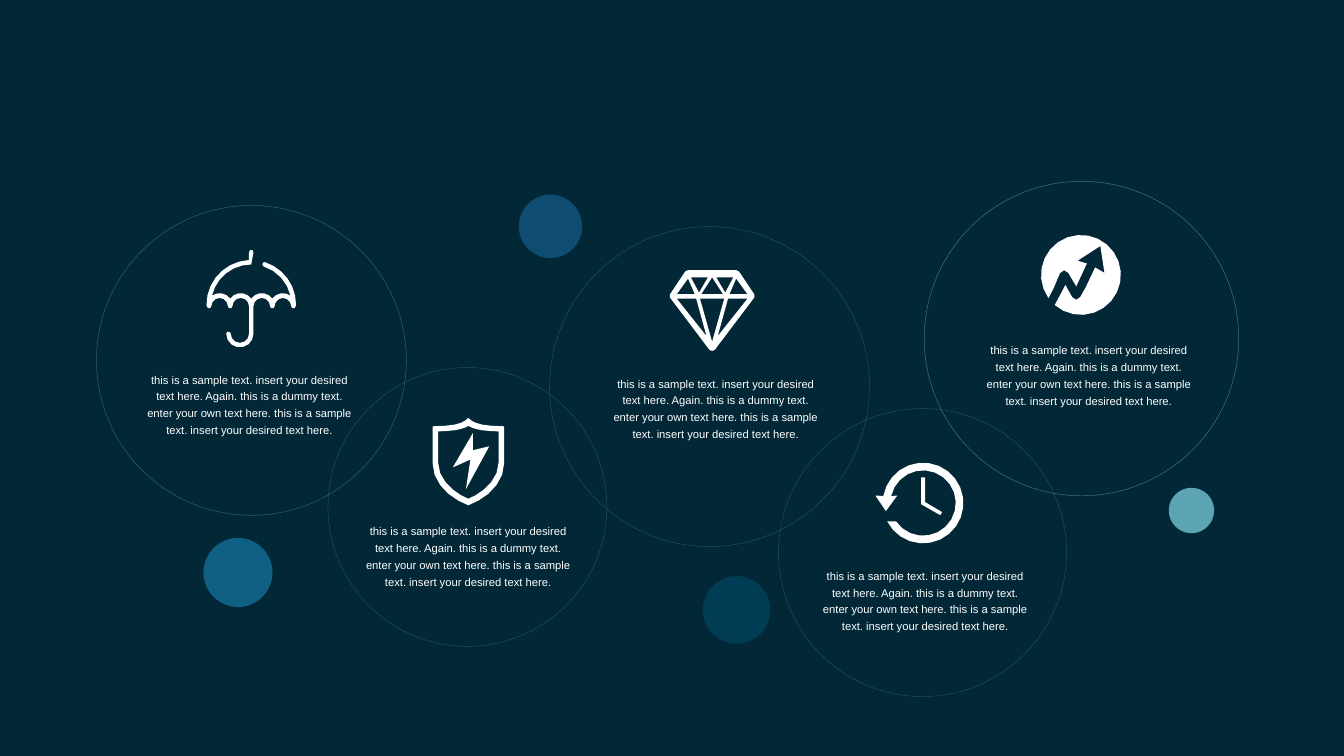
from dataclasses import dataclass
from math import ceil, cos, radians, sin, sqrt

from lxml import etree
from pptx import Presentation
from pptx.dml.color import RGBColor
from pptx.enum.shapes import MSO_SHAPE
from pptx.enum.text import MSO_AUTO_SIZE, PP_ALIGN
from pptx.oxml.ns import qn
from pptx.util import Pt

OVAL = MSO_SHAPE.OVAL
CENTER = PP_ALIGN.CENTER
GROW = MSO_AUTO_SIZE.SHAPE_TO_FIT_TEXT

BACKGROUND, WHITE, RING = "022838", "FFFFFF", "A4E2FE"
BLANK_LAYOUT = 6
TEXT_WIDTH, TEXT_HEIGHT = 127.4, 43.6
SAMPLE = (
    "this is a sample text. insert your desired text here. "
    "Again. this is a dummy text. enter your own text here. "
    "this is a sample text. insert your desired text here."
)

Point = tuple[float, float]
Contour = list[Point]


@dataclass
class Dot:
    center: Point
    diameter: float
    color: str


@dataclass
class Bubble:
    center: Point
    diameter: float
    ring_opacity: int
    icon: list[Contour]
    icon_origin: Point
    text_center: float
    text_top: float


def arc(x: float, y: float, radius: float, start: float, end: float) -> Contour:
    """Points along a circle; degrees run counterclockwise from the right."""
    steps = ceil(abs(end - start) * sqrt(radius) / 70)
    angles = [radians(start + (end - start) * i / steps) for i in range(steps + 1)]
    return [(x + radius * cos(a), y - radius * sin(a)) for a in angles]


def curve(a: Point, b: Point, c: Point, d: Point, steps: int = 5) -> Contour:
    """Points along a cubic Bezier curve."""
    weights = [
        ((1 - t) ** 3, 3 * t * (1 - t) ** 2, 3 * t * t * (1 - t), t**3)
        for t in (i / steps for i in range(steps + 1))
    ]
    return [tuple(sum(w * p for w, p in zip(row, axis)) for axis in zip(a, b, c, d))
            for row in weights]


def flip(contour: Contour) -> Contour:
    return [(-x, y) for x, y in reversed(contour)]


def umbrella() -> list[Contour]:
    rim, pitch, thickness = 30.2, 11.3, 2.4
    scallops = [(i - 1.5) * pitch for i in range(4)]
    cap = thickness / 2

    def cusp(x: float) -> Contour:
        return arc(x, rim, cap, 180, 360)

    def under(x: float) -> Contour:
        return arc(x, rim, 4.45, 180, 0)

    contour = arc(0, 29.4, 24, 0, 72) + arc(7.1, 7.7, cap, 72, 252)
    contour += arc(0, 29.4, 21.6, 72, 13)
    for x, start, end in zip(reversed(scallops), (54, 36, 36, 36), (144, 144, 144, 126)):
        contour += arc(x, rim, 7, start, end)
    contour += arc(0, 29.4, 21.6, 167, 90)
    contour += arc(0, cap, cap, 0, 180) + arc(0, 29.4, 24, 93, 180)
    contour += cusp(-2 * pitch) + under(scallops[0]) + cusp(-pitch) + under(scallops[1])
    contour += arc(-6.1, 44.9, 4.9, 0, -180) + arc(-12.2, 44.9, cap, 0, 180)
    contour += arc(-6.1, 44.9, 7.3, -180, 0)
    contour += under(scallops[2]) + cusp(pitch) + under(scallops[3]) + cusp(2 * pitch)
    return [contour]


def shield() -> list[Contour]:
    outer = curve((0, 0), (2.5, 2.5), (5.5, 4.3), (19.2, 4.5))
    outer += curve((19.2, 24), (19.2, 35.5), (9, 43.5), (0, 46.8))
    inner = curve((0, 4.3), (3, 6), (7, 7), (16.2, 7.2))
    inner += curve((16.2, 23.8), (16.2, 34), (6, 41), (0, 43.3))
    bolt = [(2.5, 8), (-8.3, 26.5), (1.1, 22.3), (-1.3, 38.2), (11.2, 15.2), (2.4, 17.3)]
    return [outer + flip(outer), inner + flip(inner), bolt]


def diamond() -> list[Contour]:
    edge = [(13, 0), (14.4, 0.7), (22.6, 13), (22.6, 14.6), (1.4, 42.7), (0, 43.2)]
    side_facets = [
        [(2.2, 3.8), (11.4, 3.8), (7, 12)],
        [(8.5, 15.3), (18.9, 15.3), (3, 35.3)],
        [(18.9, 12.8), (9.3, 12.8), (12.9, 4.5)],
    ]
    middle_facets = [
        [(-6.5, 15.3), (6.5, 15.3), (0, 38.3)],
        [(-5.8, 12.8), (5.8, 12.8), (0, 3.8)],
    ]
    mirrored = [flip(facet) for facet in side_facets]
    return [edge + flip(edge), *middle_facets, *side_facets, *mirrored]


def clock() -> list[Contour]:
    dial = arc(0, 0, 21.6, 170, -153) + arc(0, 0, 17.5, -146, 168)
    arrow = [(-13.8, -4), (-19.9, 4.3), (-25.6, -4)]
    hands = [(-1.1, -13.8), (-1.1, 0.6), (9.2, 6.5), (10.2, 4.9), (1.1, -0.5), (1.1, -13.8)]
    return [dial + arrow, hands]


def growth() -> list[Contour]:
    zigzag = [
        (-14.8, 7.5), (-11.2, -1), (-9, -2.5), (-6.8, -1.1), (-2.5, 6.1), (3.2, -6.1),
        (-1.8, -7.6), (10.4, -15.5), (12.6, -1.1), (7.6, -4), (2.5, 6.8), (-0.4, 11.9),
        (-2.5, 13.3), (-4.7, 11.9), (-8.3, 5.4),
    ]
    return [arc(0, 0, 21.4, -131, 215.5) + zigzag]


DOTS = [
    Dot((294.9, 121.3), 34, "166293"),
    Dot((638.3, 273.5), 24.3, "91ECFB"),
    Dot((394.6, 326.8), 36.2, "014866"),
    Dot((127.5, 306.7), 37, "1881B0"),
]
BUBBLES = [
    Bubble((134.7, 193.1), 166, 30, umbrella(), (134.6, 133.9), 133.6, 194.4),
    Bubble((250.4, 271.6), 149.4, 20, shield(), (250.9, 223.9), 250.8, 275.8),
    Bubble((380.1, 207.1), 171.4, 20, diamond(), (381.5, 144.8), 383.4, 196.6),
    Bubble((494.2, 296), 154.3, 20, clock(), (494.5, 269.5), 495.6, 299.5),
    Bubble((579.4, 181.4), 168.5, 40, growth(), (579.1, 147.3), 583.3, 178.6),
]


def paint(fill, color: str, opacity: int = 100) -> None:
    fill.solid()
    fill.fore_color.rgb = RGBColor.from_string(color)
    if opacity < 100:
        color_element = fill._xPr.find(qn("a:solidFill"))[0]
        etree.SubElement(color_element, qn("a:alpha"), val=str(opacity * 1000))


def add_circle(shapes, center: Point, diameter: float):
    left, top = (value - diameter / 2 for value in center)
    circle = shapes.add_shape(OVAL, Pt(left), Pt(top), Pt(diameter), Pt(diameter))
    circle.shadow.inherit = False
    return circle


def add_icon(shapes, contours: list[Contour], origin: Point) -> None:
    placed = [[(Pt(origin[0] + x), Pt(origin[1] + y)) for x, y in c] for c in contours]
    builder = shapes.build_freeform(*placed[0][0])
    for index, (start, *rest) in enumerate(placed):
        if index:
            builder.move_to(*start)
        builder.add_line_segments(rest, close=True)
    icon = builder.convert_to_shape()
    icon.shadow.inherit = False
    paint(icon.fill, WHITE)
    icon.line.fill.background()


def add_caption(shapes, center: float, top: float) -> None:
    box = shapes.add_textbox(
        Pt(center - TEXT_WIDTH / 2), Pt(top), Pt(TEXT_WIDTH), Pt(TEXT_HEIGHT)
    )
    box.text_frame.word_wrap = True
    box.text_frame.auto_size = GROW
    paragraph = box.text_frame.paragraphs[0]
    paragraph.alignment = CENTER
    paragraph.line_spacing = Pt(9)
    run = paragraph.add_run()
    run.text = SAMPLE
    run.font.name = "Arial"
    run.font.size = Pt(6)
    paint(run.font.fill, WHITE)


def add_bubble(slide, bubble: Bubble) -> None:
    shapes = slide.shapes.add_group_shape().shapes
    ring = add_circle(shapes, bubble.center, bubble.diameter)
    ring.fill.background()
    ring.line.width = Pt(0.25)
    paint(ring.line.fill, RING, bubble.ring_opacity)
    add_icon(shapes, bubble.icon, bubble.icon_origin)
    add_caption(shapes, bubble.text_center, bubble.text_top)


def main() -> None:
    presentation = Presentation()
    presentation.slide_width, presentation.slide_height = Pt(720), Pt(405)
    slide = presentation.slides.add_slide(presentation.slide_layouts[BLANK_LAYOUT])
    paint(slide.background.fill, BACKGROUND)
    for dot in DOTS:
        circle = add_circle(slide.shapes, dot.center, dot.diameter)
        paint(circle.fill, dot.color, 63)
        circle.line.fill.background()
    for bubble in BUBBLES:
        add_bubble(slide, bubble)
    presentation.save("out.pptx")


if __name__ == "__main__":
    main()
